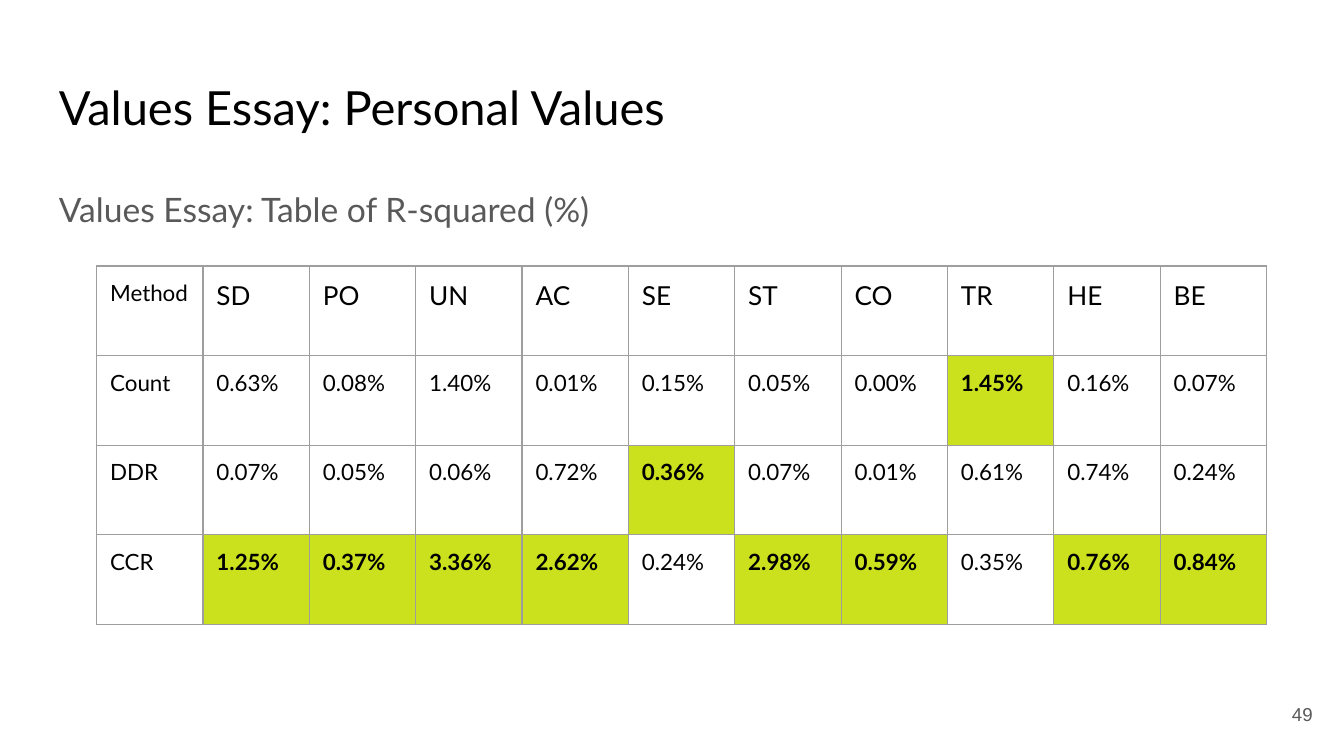
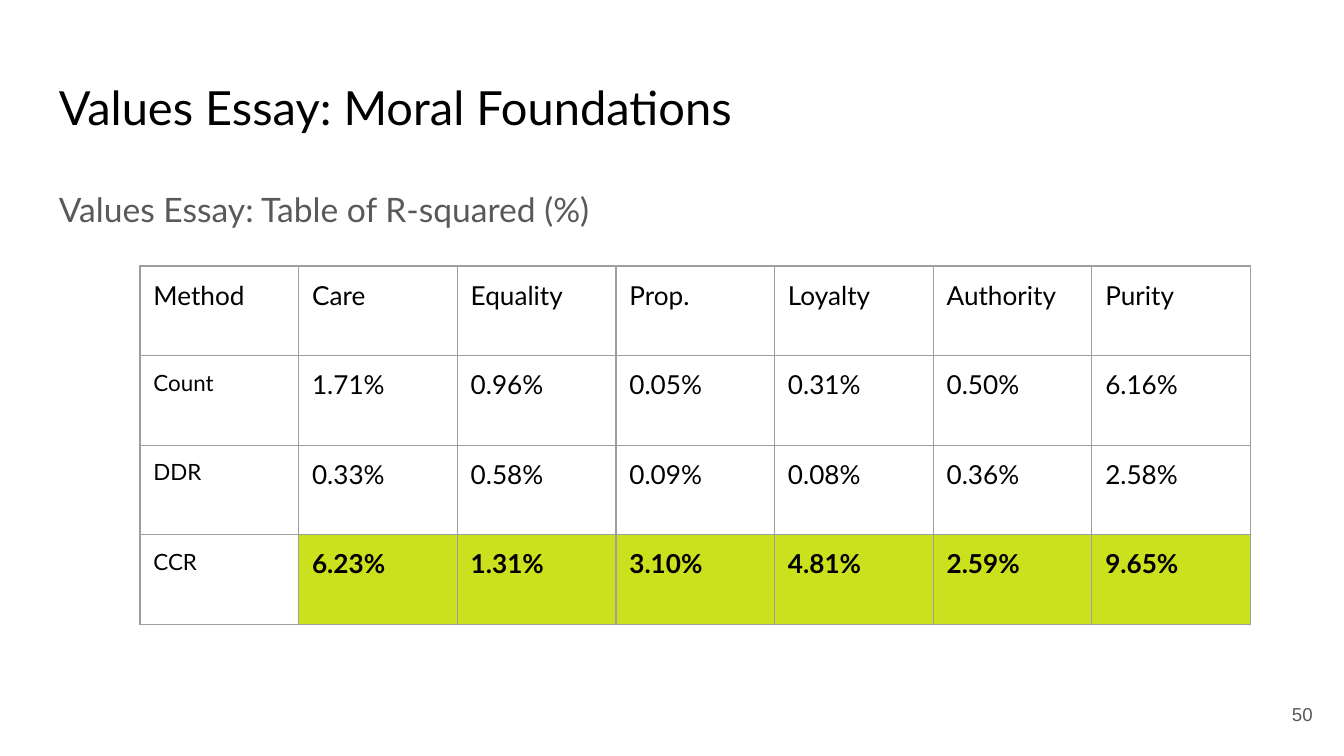
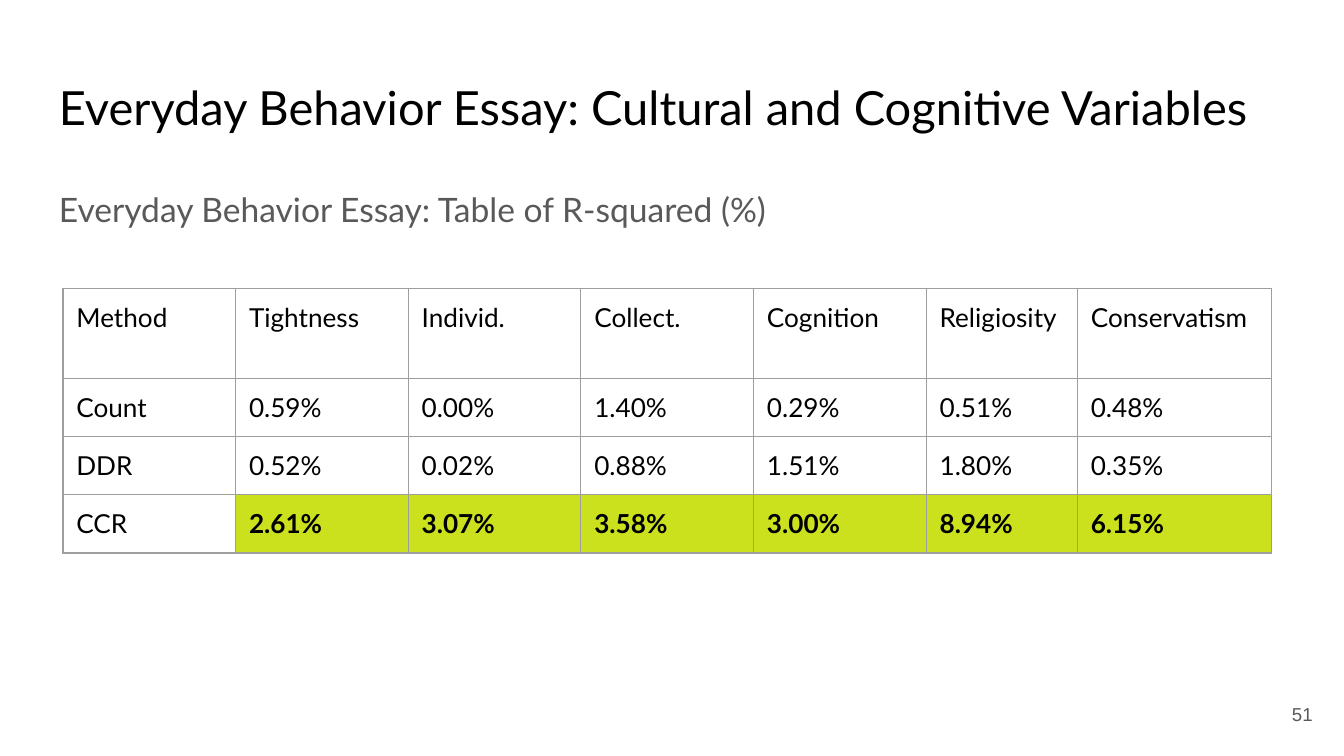
from lxml.etree import SubElement
from pptx import Presentation
from pptx.dml.color import RGBColor
from pptx.enum.text import MSO_ANCHOR as Anchor, PP_ALIGN as Align
from pptx.oxml.ns import qn
from pptx.util import Pt

BLACK = RGBColor(0x00, 0x00, 0x00)
GRAY = RGBColor(0x59, 0x59, 0x59)
BORDER = RGBColor(0x9E, 0x9E, 0x9E)
LIME = RGBColor(0xCB, 0xE1, 0x1E)

INSET = Pt(7.2)
METHODS = ["Count", "DDR", "CCR"]


class Deck:
    text_font = "Lato"
    number_font = "Arial"

    def __init__(self):
        self.presentation = Presentation()
        self.presentation.slide_width = Pt(720)
        self.presentation.slide_height = Pt(405)
        self.slide = None

    def start_slide(self, title, subtitle, number):
        self.slide = self.presentation.slides.add_slide(self.presentation.slide_layouts[6])
        self.add_text(title, (24.5, 35, 671, 45), 25.2, BLACK)
        paragraph = self.add_text(subtitle, (24.5, 90.7, 671, 269), 18, GRAY)
        paragraph.line_spacing = 1.15
        self.add_number(number)

    def add_text(self, text, box, size, color, font=text_font, anchor=Anchor.TOP):
        shape = self.slide.shapes.add_textbox(*map(Pt, box))
        frame = shape.text_frame
        frame.word_wrap = True
        frame.vertical_anchor = anchor
        frame.margin_left = frame.margin_right = INSET
        frame.margin_top = frame.margin_bottom = INSET
        paragraph = frame.paragraphs[0]
        self.add_run(paragraph, text, size, color, font)
        return paragraph

    def add_number(self, number):
        paragraph = self.add_text(str(number), (667.1, 367.2, 43.2, 31), 10, GRAY,
                                  self.number_font, Anchor.MIDDLE)
        paragraph.alignment = Align.RIGHT

    def add_run(self, paragraph, text, size, color, font=text_font, bold=False):
        run = paragraph.add_run()
        run.text = text
        run.font.name = font
        run.font.size = Pt(size)
        run.font.bold = bold
        run.font.color.rgb = color

    def add_score_table(self, left, top, widths, heights, headers, scores,
                        corner_size=14, label_size=14, score_size=14):
        shape = self.slide.shapes.add_table(
            len(heights), len(widths), Pt(left), Pt(top), Pt(sum(widths)), Pt(sum(heights)))
        table = shape.table
        table.first_row = table.horz_banding = False
        for column, width in zip(table.columns, widths):
            column.width = Pt(width)
        for row, height in zip(table.rows, heights):
            row.height = Pt(height)

        self.fill_cell(table.cell(0, 0), "Method", corner_size)
        for column, header in enumerate(headers, 1):
            self.fill_cell(table.cell(0, column), header, 14)
        best_scores = [max(column) for column in zip(*scores)]
        for row, (method, values) in enumerate(zip(METHODS, scores), 1):
            self.fill_cell(table.cell(row, 0), method, label_size)
            for column, (value, best) in enumerate(zip(values, best_scores), 1):
                self.fill_cell(table.cell(row, column), f"{value:.2f}%", score_size, value == best)

    def fill_cell(self, cell, text, size, highlighted=False):
        cell.margin_left = cell.margin_right = INSET
        cell.margin_top = cell.margin_bottom = INSET
        self.add_borders(cell)
        if highlighted:
            cell.fill.solid()
            cell.fill.fore_color.rgb = LIME
        else:
            cell.fill.background()
        self.add_run(cell.text_frame.paragraphs[0], text, size, BLACK, bold=highlighted)

    def add_borders(self, cell):
        properties = cell._tc.get_or_add_tcPr()
        for side in ("a:lnL", "a:lnR", "a:lnT", "a:lnB"):
            line = SubElement(properties, qn(side), w=str(Pt(0.75)))
            fill = SubElement(line, qn("a:solidFill"))
            SubElement(fill, qn("a:srgbClr"), val=str(BORDER))


def main():
    deck = Deck()

    deck.start_slide("Values Essay: Personal Values", "Values Essay: Table of R-squared (%)", 49)
    deck.add_score_table(
        51.8, 142.5, [57] * 11, [48] * 4,
        ["SD", "PO", "UN", "AC", "SE", "ST", "CO", "TR", "HE", "BE"],
        [[0.63, 0.08, 1.40, 0.01, 0.15, 0.05, 0.00, 1.45, 0.16, 0.07],
         [0.07, 0.05, 0.06, 0.72, 0.36, 0.07, 0.01, 0.61, 0.74, 0.24],
         [1.25, 0.37, 3.36, 2.62, 0.24, 2.98, 0.59, 0.35, 0.76, 0.84]],
        corner_size=12, label_size=12, score_size=12)

    deck.start_slide("Values Essay: Moral Foundations", "Values Essay: Table of R-squared (%)", 50)
    deck.add_score_table(
        75, 142.5, [85] * 7, [48] * 4,
        ["Care", "Equality", "Prop.", "Loyalty", "Authority", "Purity"],
        [[1.71, 0.96, 0.05, 0.31, 0.50, 6.16],
         [0.33, 0.58, 0.09, 0.08, 0.36, 2.58],
         [6.23, 1.31, 3.10, 4.81, 2.59, 9.65]],
        label_size=12)

    deck.start_slide("Everyday Behavior Essay: Cultural and Cognitive Variables",
                     "Everyday Behavior Essay: Table of R-squared (%)", 51)
    deck.add_score_table(
        33.7, 154.6, [92.5] * 5 + [81, 104], [48] + [31.2] * 3,
        ["Tightness", "Individ.", "Collect.", "Cognition", "Religiosity", "Conservatism"],
        [[0.59, 0.00, 1.40, 0.29, 0.51, 0.48],
         [0.52, 0.02, 0.88, 1.51, 1.80, 0.35],
         [2.61, 3.07, 3.58, 3.00, 8.94, 6.15]])

    deck.presentation.save("out.pptx")


if __name__ == "__main__":
    main()
